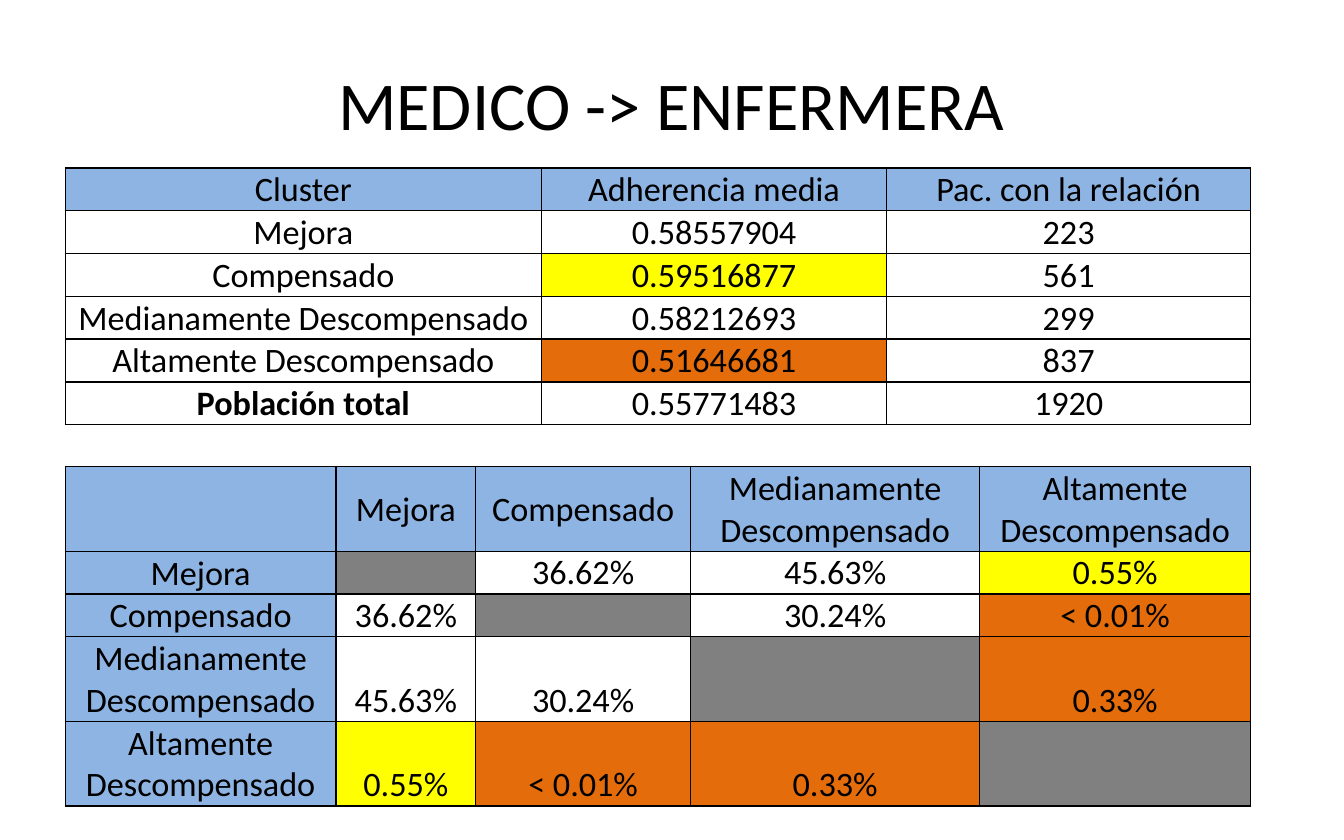
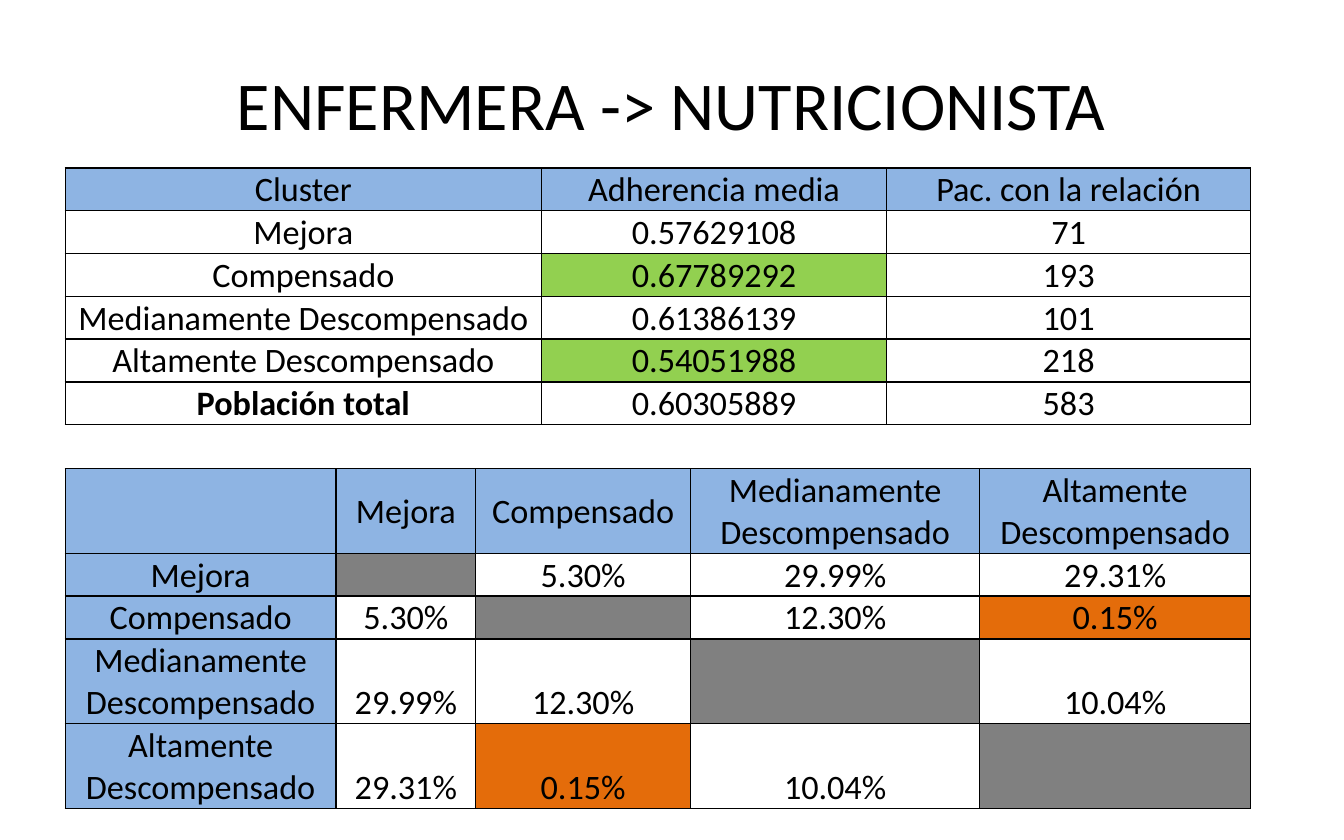
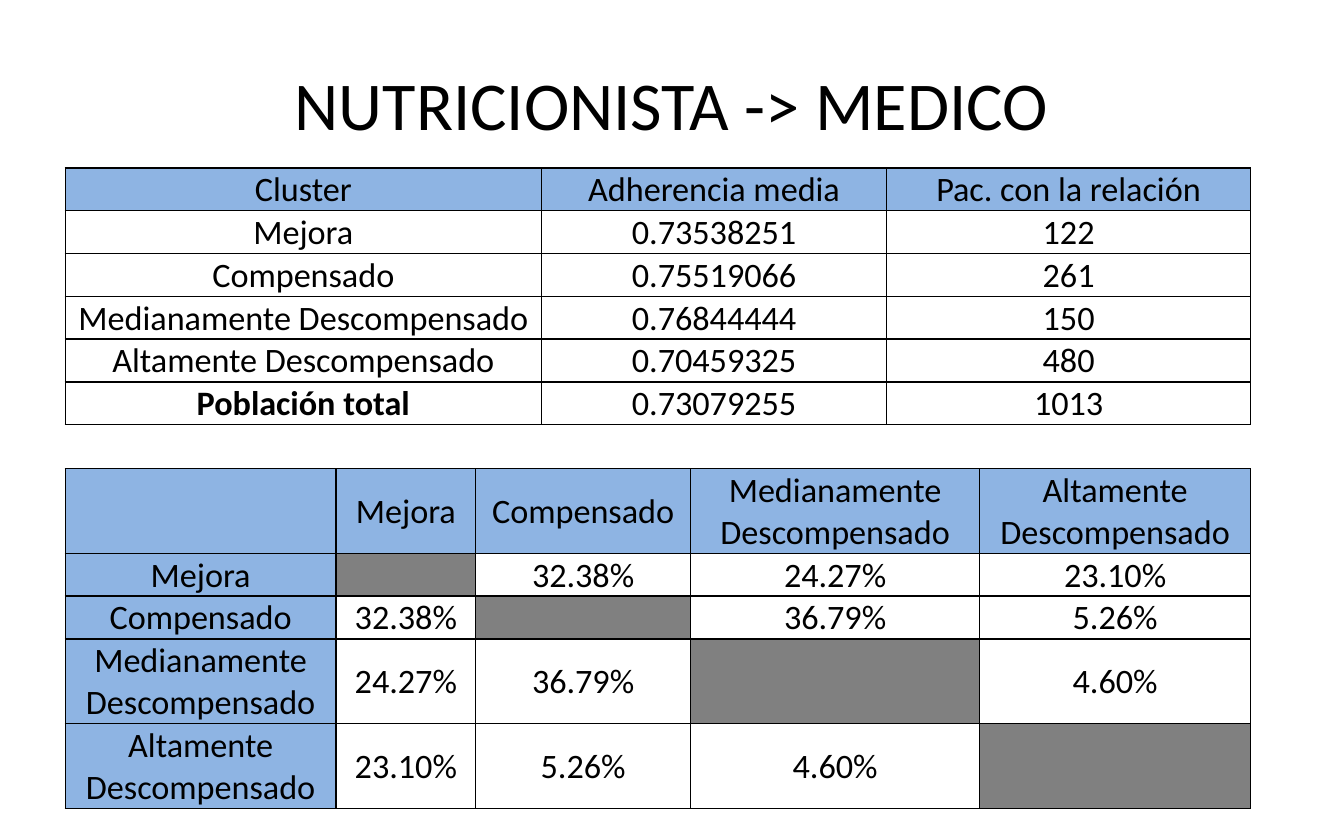
"""Build three slides comparing treatment adherence between patient clusters."""
from lxml import etree
from pptx import Presentation
from pptx.dml.color import RGBColor
from pptx.enum.text import MSO_ANCHOR, PP_ALIGN
from pptx.oxml.ns import qn
from pptx.util import Cm, Pt

CENTER = PP_ALIGN.CENTER
MIDDLE = MSO_ANCHOR.MIDDLE
BOTTOM = MSO_ANCHOR.BOTTOM

COLORS = {
    "black": "000000", "white": "FFFFFF", "header": "8EB4E3", "diagonal": "808080",
    "yellow": "FFFF00", "orange": "E46C0A", "green": "92D050",
}
FONT = "Calibri"
LEFT = 1.48
LINE_H, DOUBLE_H = 0.97, 1.92
CLUSTERS = ["Mejora", "Compensado", "Medianamente Descompensado", "Altamente Descompensado"]
TOTAL = "Población total"
SUMMARY_HEAD = ["Cluster", "Adherencia media", "Pac. con la relación"]
SUMMARY_COLS = [10.8, 7.83, 8.25]
MATRIX_COLS = [6.14, 3.17, 4.87, 6.56, 6.14]
MATRIX_ROWS = [DOUBLE_H, LINE_H, LINE_H, DOUBLE_H, DOUBLE_H]

SLIDES = [
    {
        "title": "MEDICO -> ENFERMERA",
        "means": ["0.58557904", "0.59516877", "0.58212693", "0.51646681", "0.55771483"],
        "patients": ["223", "561", "299", "837", "1920"],
        "pairs": {(0, 1): "36.62%", (0, 2): "45.63%", (0, 3): "0.55%",
                  (1, 2): "30.24%", (1, 3): "< 0.01%", (2, 3): "0.33%"},
        "marks": {"0.59516877": "yellow", "0.51646681": "orange", "0.55%": "yellow",
                  "< 0.01%": "orange", "0.33%": "orange"},
        "matrix_top": 10.58, "anchor": BOTTOM,
    },
    {
        "title": "ENFERMERA -> NUTRICIONISTA",
        "means": ["0.57629108", "0.67789292", "0.61386139", "0.54051988", "0.60305889"],
        "patients": ["71", "193", "101", "218", "583"],
        "pairs": {(0, 1): "5.30%", (0, 2): "29.99%", (0, 3): "29.31%",
                  (1, 2): "12.30%", (1, 3): "0.15%", (2, 3): "10.04%"},
        "marks": {"0.67789292": "green", "0.54051988": "green", "0.15%": "orange"},
        "matrix_top": 10.63, "anchor": BOTTOM,
    },
    {
        "title": "NUTRICIONISTA -> MEDICO",
        "means": ["0.73538251", "0.75519066", "0.76844444", "0.70459325", "0.73079255"],
        "patients": ["122", "261", "150", "480", "1013"],
        "pairs": {(0, 1): "32.38%", (0, 2): "24.27%", (0, 3): "23.10%",
                  (1, 2): "36.79%", (1, 3): "5.26%", (2, 3): "4.60%"},
        "marks": {},
        "matrix_top": 10.63, "anchor": MIDDLE,
    },
]


def write(tf, text, size=22, bold=False, color="black"):
    p = tf.paragraphs[0]
    p.alignment = CENTER
    r = p.add_run()
    r.text = text
    r.font.name = FONT
    r.font.size = Pt(size)
    r.font.bold = bold
    r.font.color.rgb = RGBColor.from_string(COLORS[color])


def add_grid(s, top, cols, heights, rows, marks, header_col, anchor):
    tbl = s.shapes.add_table(len(rows), len(cols), Cm(LEFT), Cm(top),
                             Cm(sum(cols)), Cm(sum(heights))).table
    tbl.first_row = tbl.horz_banding = False
    for col, width in zip(tbl.columns, cols):
        col.width = Cm(width)
    for i, values in enumerate(rows):
        tbl.rows[i].height = Cm(heights[i])
        for j, text in enumerate(values):
            cell = tbl.cell(i, j)
            cell.margin_left = cell.margin_right = cell.margin_top = Cm(0.03)
            cell.margin_bottom = 0
            cell.vertical_anchor = anchor if i and j else MIDDLE
            tcPr = cell._tc.get_or_add_tcPr()
            for side in ("a:lnL", "a:lnR", "a:lnT", "a:lnB"):
                ln = etree.SubElement(tcPr, qn(side), w=str(Pt(1)))
                line_fill = etree.SubElement(ln, qn("a:solidFill"))
                etree.SubElement(line_fill, qn("a:srgbClr"), val=COLORS["black"])
            if i == 0 or (header_col and j == 0):
                fill = "header"
            elif not text:
                fill = "diagonal"
            else:
                fill = marks.get(text, "white")
            cell.fill.solid()
            cell.fill.fore_color.rgb = RGBColor.from_string(COLORS[fill])
            if text:
                write(cell.text_frame, text, bold=text == TOTAL)


prs = Presentation()
prs.slide_width, prs.slide_height = Cm(30.48), Cm(19.05)

for data in SLIDES:
    s = prs.slides.add_slide(prs.slide_layouts[6])
    tf = s.shapes.add_textbox(Cm(1.52), Cm(0.76), Cm(27.43), Cm(3.18)).text_frame
    tf.word_wrap = True
    tf.vertical_anchor = MIDDLE
    write(tf, data["title"], size=44)

    matrix = [[""] + CLUSTERS]
    for i, name in enumerate(CLUSTERS):
        matrix.append([name] + [data["pairs"].get((min(i, j), max(i, j)), "")
                                for j in range(len(CLUSTERS))])
    add_grid(s, data["matrix_top"], MATRIX_COLS, MATRIX_ROWS, matrix,
             data["marks"], True, data["anchor"])

    summary = [SUMMARY_HEAD, *zip(CLUSTERS + [TOTAL], data["means"], data["patients"])]
    add_grid(s, 3.81, SUMMARY_COLS, [LINE_H] * len(summary), summary,
             data["marks"], False, BOTTOM)

prs.save("out.pptx")
